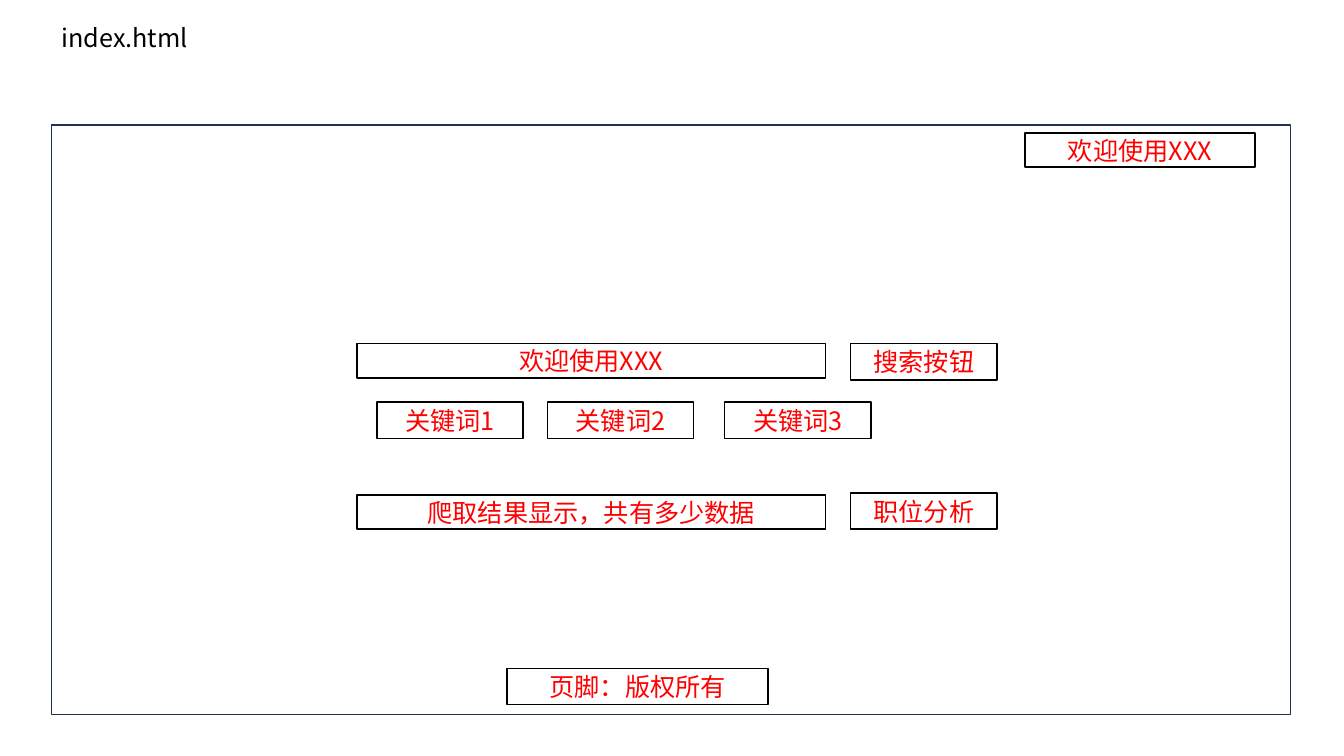
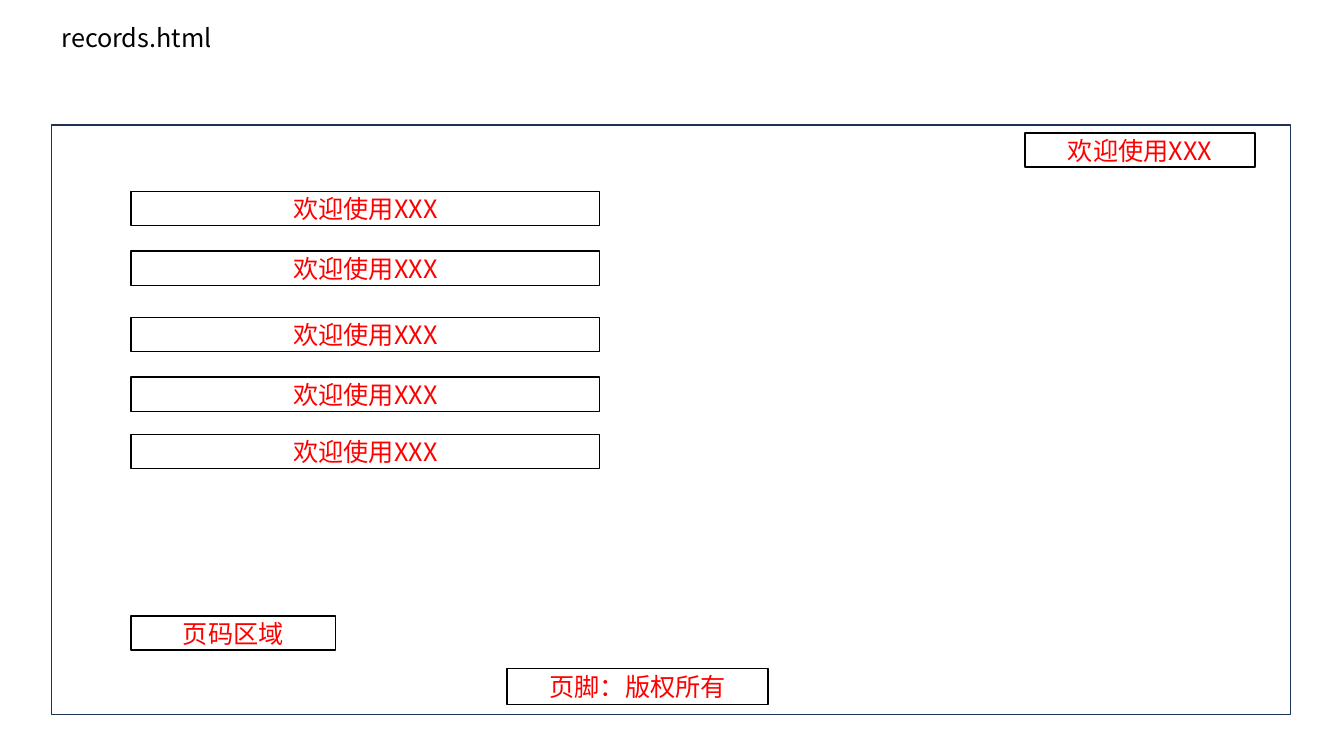
from lxml.etree import SubElement
from pptx import Presentation
from pptx.dml.color import RGBColor
from pptx.enum.shapes import MSO_SHAPE
from pptx.enum.text import MSO_ANCHOR, MSO_AUTO_SIZE, PP_ALIGN
from pptx.oxml.ns import qn
from pptx.util import Pt

BLACK = RGBColor(0x00, 0x00, 0x00)
RED = RGBColor(0xFF, 0x00, 0x00)
NAVY = RGBColor(0x1E, 0x32, 0x56)
FONT = "Noto Sans CJK SC"

BAR_WIDTH, BAR_HEIGHT = 334.8, 24.5
BUTTON_WIDTH, BUTTON_HEIGHT = 104.4, 25.9
SEARCH_LEFT, BUTTON_LEFT, RECORD_LEFT = 254.9, 607.7, 93.6
WELCOME = "欢迎使用XXX"


def write(shape, text, color, align, anchor):
    frame = shape.text_frame
    frame.text = text
    frame.word_wrap = True
    frame.vertical_anchor = anchor
    paragraph = frame.paragraphs[0]
    paragraph.alignment = align
    paragraph.font.size = Pt(18)
    paragraph.font.color.rgb = color
    paragraph.font.name = FONT
    for properties in shape.element.iter(qn("a:defRPr")):
        SubElement(properties, qn("a:ea")).set("typeface", FONT)


def add_box(slide, left, top, width, height, text="", line_color=BLACK):
    box = slide.shapes.add_shape(
        MSO_SHAPE.RECTANGLE, Pt(left), Pt(top), Pt(width), Pt(height))
    box.shadow.inherit = False
    box.fill.background()
    box.line.color.rgb = line_color
    box.line.width = Pt(1)
    if text:
        write(box, text, RED, PP_ALIGN.CENTER, MSO_ANCHOR.MIDDLE)


index_boxes = [
    (SEARCH_LEFT, 245.5, BAR_WIDTH, BAR_HEIGHT, WELCOME),
    (BUTTON_LEFT, 245.5, BUTTON_WIDTH, BUTTON_HEIGHT, "搜索按钮"),
]
for number, left in enumerate((269.3, 391, 517.7), start=1):
    index_boxes.append((left, 287.3, BUTTON_WIDTH, BUTTON_HEIGHT, f"关键词{number}"))
index_boxes += [
    (SEARCH_LEFT, 353.5, BAR_WIDTH, BAR_HEIGHT, "爬取结果显示，共有多少数据"),
    (BUTTON_LEFT, 352.1, BUTTON_WIDTH, BUTTON_HEIGHT, "职位分析"),
]

record_boxes = [
    (RECORD_LEFT, top, BAR_WIDTH, BAR_HEIGHT, WELCOME)
    for top in (136.8, 179.3, 226.8, 269.3, 310.3)
]
record_boxes.append((RECORD_LEFT, 439.9, 146.2, BAR_HEIGHT, "页码区域"))

presentation = Presentation()
presentation.slide_width = Pt(960)
presentation.slide_height = Pt(540)
title_only = presentation.slide_layouts[5]

for page_name, page_boxes in (("index.html", index_boxes), ("records.html", record_boxes)):
    slide = presentation.slides.add_slide(title_only)
    title = slide.shapes.title
    title.left, title.top, title.width, title.height = Pt(36.8), Pt(12.2), Pt(164.2), Pt(28.8)
    write(title, page_name, BLACK, PP_ALIGN.LEFT, MSO_ANCHOR.TOP)
    title.text_frame.auto_size = MSO_AUTO_SIZE.SHAPE_TO_FIT_TEXT

    add_box(slide, 36.8, 89.3, 884.9, 421.2, line_color=NAVY)
    add_box(slide, 732.2, 95, 164.2, BAR_HEIGHT, WELCOME)
    add_box(slide, 362.2, 477.4, 186.5, BUTTON_HEIGHT, "页脚：版权所有")
    for page_box in page_boxes:
        add_box(slide, *page_box)

presentation.save("out.pptx")
